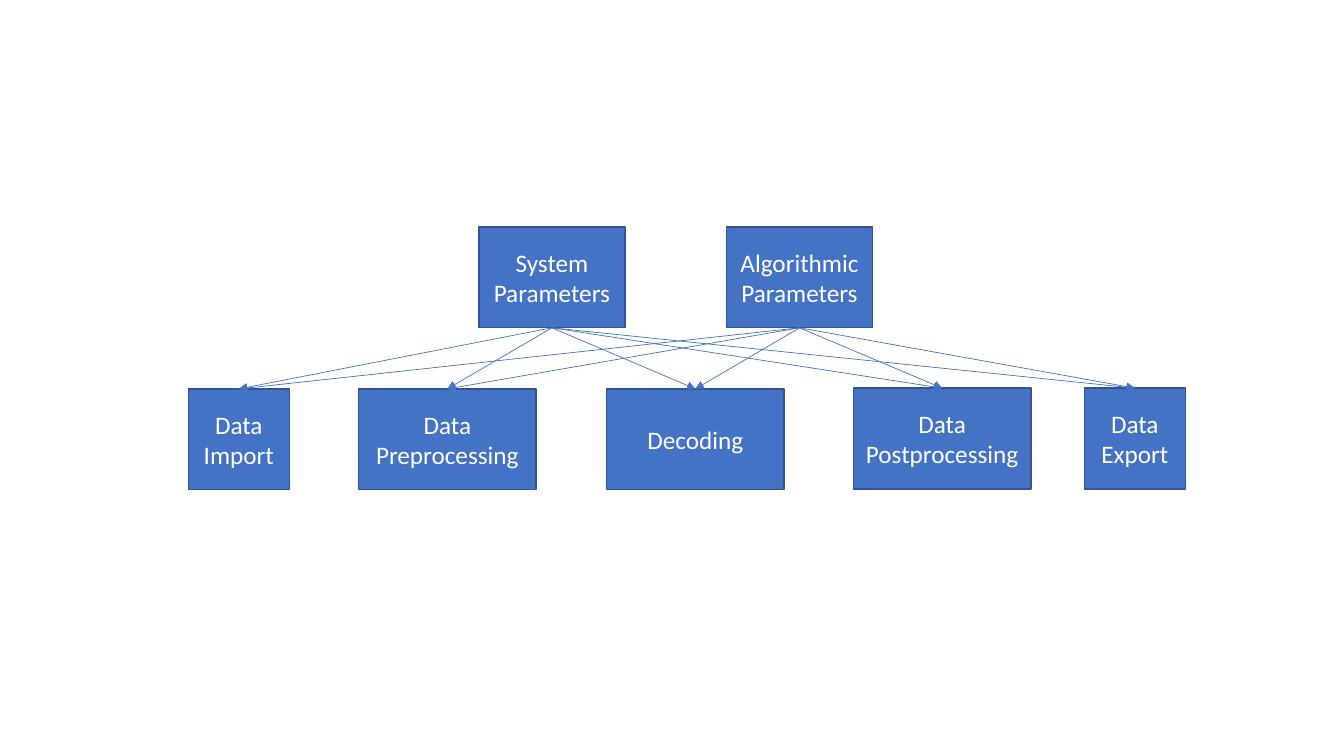
from lxml.etree import SubElement
from pptx import Presentation
from pptx.dml.color import RGBColor
from pptx.enum.shapes import MSO_CONNECTOR, MSO_SHAPE
from pptx.enum.text import MSO_ANCHOR, PP_ALIGN
from pptx.oxml.ns import qn
from pptx.util import Cm, Pt

BLUE = RGBColor(0x44, 0x72, 0xC4)
DARK_BLUE = RGBColor(0x32, 0x54, 0x91)
WHITE = RGBColor(0xFF, 0xFF, 0xFF)

# Content: label, left, top, width in cm
PARAMETERS = [
    ("System Parameters", 12.07, 5.72, 3.68),
    ("Algorithmic Parameters", 18.31, 5.72, 3.68),
]
STEPS = [
    ("Data Import", 4.75, 9.8, 2.54),
    ("Data Preprocessing", 9.04, 9.8, 4.47),
    ("Decoding", 15.29, 9.8, 4.47),
    ("Data Postprocessing", 21.51, 9.78, 4.47),
    ("Data Export", 27.33, 9.78, 2.54),
]
BOX_HEIGHT = 2.54
TOP_SITE, BOTTOM_SITE = 0, 2
FONT_FORMAT = {"name": "Calibri", "size": Pt(18)}

presentation = Presentation()
presentation.slide_width, presentation.slide_height = Cm(33.87), Cm(19.05)
slide = presentation.slides.add_slide(presentation.slide_layouts[6])


def add_box(label, left, top, width):
    shape = slide.shapes.add_shape(
        MSO_SHAPE.RECTANGLE, Cm(left), Cm(top), Cm(width), Cm(BOX_HEIGHT))
    shape.shadow.inherit = False
    shape.fill.solid()
    shape.fill.fore_color.rgb = BLUE
    shape.line.color.rgb = DARK_BLUE
    shape.line.width = Pt(1)
    frame = shape.text_frame
    frame.word_wrap = True
    frame.vertical_anchor = MSO_ANCHOR.MIDDLE
    paragraph = frame.paragraphs[0]
    paragraph.alignment = PP_ALIGN.CENTER
    run = paragraph.add_run()
    run.text = label
    for name, value in FONT_FORMAT.items():
        setattr(run.font, name, value)
    run.font.color.rgb = WHITE
    return shape


def add_arrow(source, target):
    connector = slide.shapes.add_connector(MSO_CONNECTOR.STRAIGHT, 0, 0, 0, 0)
    connector.begin_connect(source, BOTTOM_SITE)
    connector.end_connect(target, TOP_SITE)
    connector.line.color.rgb = BLUE
    connector.line.width = Pt(0.5)
    SubElement(connector.line._get_or_add_ln(), qn("a:tailEnd"), type="triangle")
    SubElement(connector._element.spPr, qn("a:effectLst"))


# Boxes
step_boxes = [add_box(*step) for step in STEPS]
parameter_boxes = [add_box(*parameter) for parameter in PARAMETERS]

# Every parameter box feeds every step
for parameter_box in parameter_boxes:
    for step_box in step_boxes:
        add_arrow(parameter_box, step_box)

presentation.save("out.pptx")
